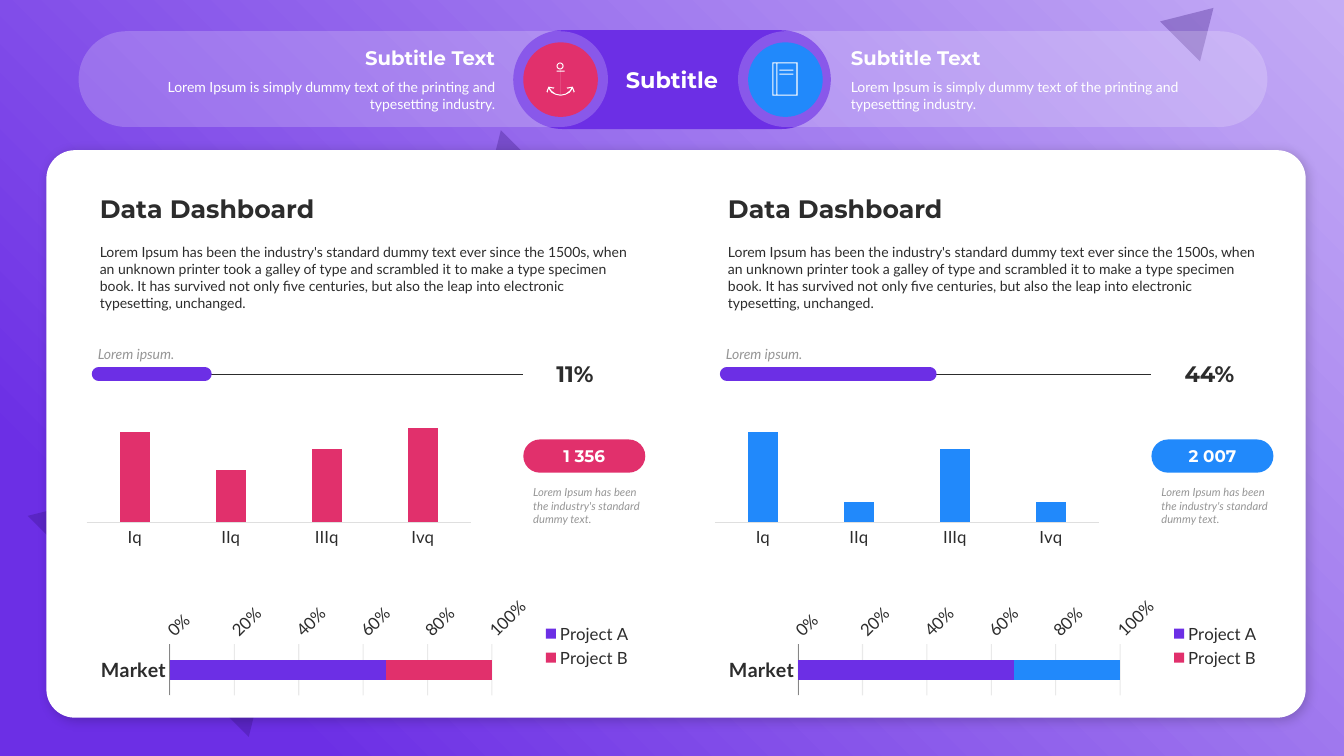
from lxml import etree
from pptx import Presentation
from pptx.chart.data import CategoryChartData
from pptx.dml.color import RGBColor
from pptx.enum.chart import XL_CHART_TYPE, XL_LEGEND_POSITION, XL_TICK_MARK
from pptx.enum.shapes import MSO_CONNECTOR, MSO_SHAPE
from pptx.enum.text import MSO_ANCHOR, MSO_AUTO_SIZE, PP_ALIGN
from pptx.oxml.ns import qn
from pptx.util import Inches, Pt

PURPLE, LILAC = RGBColor(0x6C, 0x2F, 0xE5), RGBColor(0xC4, 0xAC, 0xF5)
INDIGO, PINK = RGBColor(0x33, 0x0F, 0x7B), RGBColor(0xE1, 0x30, 0x6C)
BLUE, WHITE = RGBColor(0x21, 0x89, 0xFB), RGBColor(0xFF, 0xFF, 0xFF)
INK, GREY = RGBColor(0x2C, 0x2C, 0x2C), RGBColor(0x96, 0x96, 0x96)
AXIS_GREY, AXIS_DARK = RGBColor(0xDF, 0xDF, 0xDF), RGBColor(0x86, 0x86, 0x86)
HEAD_FONT, BODY_FONT = "Montserrat", "Lato"
RECT, PILL, OVAL = MSO_SHAPE.RECTANGLE, MSO_SHAPE.ROUNDED_RECTANGLE, MSO_SHAPE.OVAL
TRIANGLE, DONUT = MSO_SHAPE.ISOSCELES_TRIANGLE, MSO_SHAPE.DONUT
LEFT, CENTER, RIGHT = PP_ALIGN.LEFT, PP_ALIGN.CENTER, PP_ALIGN.RIGHT
MIDDLE, TOP, BOTTOM = MSO_ANCHOR.MIDDLE, MSO_ANCHOR.TOP, MSO_ANCHOR.BOTTOM
NO_TICK = XL_TICK_MARK.NONE

# Content
TITLE = "Subtitle"
BANNER_HEAD = "Subtitle Text"
BANNER_TEXT = "Lorem Ipsum is simply dummy text of the printing and typesetting industry."
PANEL_HEAD = "Data Dashboard"
PANEL_TEXT = ("Lorem Ipsum has been the industry's standard dummy text ever since the 1500s, "
              "when an unknown printer took a galley of type and scrambled it to make a type "
              "specimen book. It has survived not only five centuries, but also the leap into "
              "electronic typesetting, unchanged.")
PROGRESS_LABEL = "Lorem ipsum."
NOTE = "Lorem Ipsum has been the industry's standard dummy text."
QUARTERS = ["Iq", "IIq", "IIIq", "Ivq"]
MARKET = [("Project A", 67, PURPLE), ("Project B", 33, PINK)]
PANELS = [
    dict(accent=PINK, percent="11%", progress=1.05, total="1 356",
         values=[96, 56, 78, 100], axis_max=111),
    dict(accent=BLUE, percent="44%", progress=2.01, total="2 007",
         values=[100, 23, 81, 23], axis_max=116),
]
PANEL_STEP = 6.23
# box, rotation
TRIANGLES = [((0.73, 4.02, 3.1, 2.57), 45), ((4.57, 1.5, 0.9, 0.75), 225),
             ((11.59, 0.01, 0.56, 0.47), 45)]
# left, alignment, left inset, right inset
BANNERS = [(7.32, LEFT, 0.98, 0.2), (0.78, RIGHT, 0.2, 0.98)]
TITLE_BOX = (5.09, 0.3, 3.15, 0.98)
# Icon outlines in hundredths of an inch
ANCHOR_X = 556
ANCHOR_HALF = [(0.5, 69), (0.5, 70), (4, 70), (4, 71), (0.5, 71), (0.5, 94), (5, 93),
               (9, 90.5), (11, 87), (7, 88), (6, 87), (11.5, 86), (12.5, 86), (14, 91),
               (13, 92), (11.5, 88), (9, 92), (5, 94.5), (0, 95)]
BOOK_FRAMES = [(766, 62, 791, 95), (767, 63, 770, 94), (771, 63, 790, 94)]

presentation = Presentation()
presentation.slide_width, presentation.slide_height = Inches(13.33), Inches(7.5)
slide = presentation.slides.add_slide(presentation.slide_layouts[4])
shapes = slide.shapes


def inches(box):
    return [Inches(value) for value in box]


def set_alpha(element, percent):
    color = element.find(".//" + qn("a:srgbClr"))
    etree.SubElement(color, qn("a:alpha"), val=str(percent * 1000))


def add_filled(kind, box, color, alpha=None, corner=None):
    shape = shapes.add_shape(kind, *inches(box))
    shape.shadow.inherit = False
    shape.fill.solid()
    shape.fill.fore_color.rgb = color
    shape.line.fill.background()
    if alpha:
        set_alpha(shape.element, alpha)
    if corner is not None:
        shape.adjustments[0] = corner
    return shape


def write(shape, lines, color, align=LEFT, anchor=TOP, insets=(0.1, 0.05, 0.1, 0.05),
          after=0, grow=False):
    """Each line is (text, size, font, bold, italic)."""
    frame = shape.text_frame
    frame.word_wrap = True
    frame.auto_size = MSO_AUTO_SIZE.SHAPE_TO_FIT_TEXT if grow else MSO_AUTO_SIZE.NONE
    frame.vertical_anchor = anchor
    (frame.margin_left, frame.margin_top,
     frame.margin_right, frame.margin_bottom) = inches(insets)
    for index, (text, size, font, bold, italic) in enumerate(lines):
        paragraph = frame.add_paragraph() if index else frame.paragraphs[0]
        paragraph.alignment = align
        paragraph.space_before, paragraph.space_after = Pt(0), Pt(after)
        run = paragraph.add_run()
        run.text = text
        run.font.size, run.font.name = Pt(size), font
        run.font.bold, run.font.italic = bold, italic
        run.font.color.rgb = color


def add_text(box, line, color, **options):
    write(shapes.add_textbox(*inches(box)), [line], color, grow=True, **options)


def fill_placeholder(index, box, line, color, **options):
    placeholder = slide.placeholders[index]
    placeholder.left, placeholder.top, placeholder.width, placeholder.height = inches(box)
    write(placeholder, [line], color, **options)
    properties = placeholder.text_frame.paragraphs[0].runs[0]._r.getparent().pPr
    properties.set("marL", "0")
    properties.set("indent", "0")
    etree.SubElement(properties, qn("a:buNone"))
    shapes.element.append(placeholder.element) if hasattr(shapes, "element") else \
        placeholder.element.getparent().append(placeholder.element)


def add_outline(contours):
    builder = shapes.build_freeform(*contours[0][0], scale=Inches(0.01))
    for index, points in enumerate(contours):
        if index:
            builder.move_to(*points[0])
        builder.add_line_segments(points[1:], close=True)
    shape = builder.convert_to_shape()
    shape.shadow.inherit = False
    shape.fill.solid()
    shape.fill.fore_color.rgb = WHITE
    shape.line.fill.background()


def add_line(left, top, length, color, width):
    line = shapes.add_connector(MSO_CONNECTOR.STRAIGHT,
                                *inches((left, top, left + length, top)))
    line.line.color.rgb, line.line.width = color, Pt(width)
    etree.SubElement(line.element.spPr, qn("a:effectLst"))
    return line


def add_chart(kind, box, categories, series):
    data = CategoryChartData()
    data.categories = categories
    for name, values, color in series:
        data.add_series(name, values)
    chart = shapes.add_chart(kind, *inches(box), data).chart
    chart.has_title = chart.has_legend = False
    chart.font.size, chart.font.name, chart.font.color.rgb = Pt(12), BODY_FONT, INK
    chart.plots[0].vary_by_categories = False
    for item, (name, values, color) in zip(chart.plots[0].series, series):
        item.format.fill.solid()
        item.format.fill.fore_color.rgb = color
    chart.category_axis.major_tick_mark = chart.value_axis.major_tick_mark = NO_TICK
    chart.category_axis.format.line.width = Pt(0.75)
    return chart


def add_quarter_chart(left, panel):
    chart = add_chart(XL_CHART_TYPE.COLUMN_CLUSTERED, (left, 3.98, 4.01, 1.65), QUARTERS,
                      [("Series 1", panel["values"], panel["accent"])])
    chart.plots[0].gap_width, chart.plots[0].overlap = 219, -27
    chart.category_axis.format.line.color.rgb = AXIS_GREY
    axis = chart.value_axis
    axis.visible = axis.has_major_gridlines = False
    axis.minimum_scale, axis.maximum_scale = 0, panel["axis_max"]
    plot_area = chart.element.find(".//" + qn("c:plotArea"))
    for old_layout in plot_area.findall(qn("c:layout")):
        plot_area.remove(old_layout)
    layout = etree.Element(qn("c:layout"))
    manual = etree.SubElement(layout, qn("c:manualLayout"))
    for tag, value in [("layoutTarget", "inner"), ("xMode", "edge"), ("yMode", "edge"),
                       ("x", "0.02"), ("y", "0.1"), ("w", "0.95"), ("h", "0.63")]:
        etree.SubElement(manual, qn("c:" + tag), val=value)
    plot_area.insert(0, layout)


def add_market_chart(left, accent):
    chart = add_chart(XL_CHART_TYPE.BAR_STACKED_100, (left, 5.89, 5.48, 1.03), ["Market"],
                      [(name, [value], color) for name, value, color in MARKET])
    plot, axis = chart.plots[0], chart.value_axis
    plot.gap_width, plot.overlap = 155, 100
    point_fill = plot.series[1].points[0].format.fill
    point_fill.solid()
    point_fill.fore_color.rgb = accent
    chart.has_legend = True
    chart.legend.position, chart.legend.include_in_layout = XL_LEGEND_POSITION.RIGHT, False
    chart.category_axis.reverse_order = True
    chart.category_axis.format.line.color.rgb = AXIS_DARK
    label_font = chart.category_axis.tick_labels.font
    label_font.size, label_font.bold = Pt(14), True
    axis.format.line.fill.background()
    axis.tick_labels.number_format, axis.tick_labels.number_format_is_linked = "0%", False
    axis.tick_labels.font.size = Pt(12)
    chart.element.find(".//" + qn("c:valAx") + "//" + qn("a:bodyPr")).set("rot", "-2700000")
    grid = axis.major_gridlines.format.line
    grid.color.rgb, grid.width = INK, Pt(0.75)
    set_alpha(chart.element.find(".//" + qn("c:majorGridlines")), 10)


# Background
fill = slide.background.fill
fill.gradient()
for stop, color, position in zip(fill.gradient_stops, (LILAC, PURPLE), (0, 0.85)):
    stop.color.rgb, stop.position = color, position
gradient = slide.element.find(".//" + qn("a:gradFill"))
gradient.remove(gradient.find(qn("a:lin")))
radial = etree.SubElement(gradient, qn("a:path"), path="circle")
etree.SubElement(radial, qn("a:fillToRect"), l="100000", b="100000")
for box, rotation in TRIANGLES:
    add_filled(TRIANGLE, box, INDIGO, alpha=30).rotation = rotation

# Header
add_filled(PILL, TITLE_BOX, PURPLE, corner=0.5)
fill_placeholder(0, TITLE_BOX, (TITLE, 16, HEAD_FONT, True, False), WHITE, align=CENTER,
                 anchor=MIDDLE, insets=(0.87, 0.05, 0.87, 0.05))
for left, align, inset_left, inset_right in BANNERS:
    banner = add_filled(PILL, (left, 0.31, 5.25, 0.95), WHITE, alpha=20, corner=0.5)
    write(banner, [(BANNER_HEAD, 14, HEAD_FONT, True, False),
                   (BANNER_TEXT, 10, BODY_FONT, False, False)], WHITE, align=align,
          anchor=MIDDLE, insets=(inset_left, 0.05, inset_right, 0.05), after=6)
for left, color in [(5.19, PINK), (7.42, BLUE)]:
    add_filled(OVAL, (left, 0.42, 0.74, 0.74), color)

# Anchor and book icons
add_outline([[(ANCHOR_X + x, y) for x, y in ANCHOR_HALF]
             + [(ANCHOR_X - x, y) for x, y in ANCHOR_HALF[-2::-1]]])
add_filled(DONUT, (5.52, 0.62, 0.07, 0.07), WHITE, corner=0.14)
add_outline([[(x1, y1), (x2, y1), (x2, y2), (x1, y2)] for x1, y1, x2, y2 in BOOK_FRAMES])
for top in (0.69, 0.73):
    add_filled(RECT, (7.73, top, 0.14, 0.01), WHITE)

# Card
card = add_filled(PILL, (0.46, 1.49, 12.49, 5.63), WHITE, corner=0.05)
shadow = etree.SubElement(card.element.spPr.find(qn("a:effectLst")), qn("a:outerShdw"),
                          blurRad=str(Pt(8)), dist=str(Pt(3)), dir="2700000", rotWithShape="0")
etree.SubElement(shadow, qn("a:srgbClr"), val="000000")
set_alpha(shadow, 20)

# Dashboard panels
for number, panel in enumerate(PANELS):
    shift = number * PANEL_STEP
    left, right, accent = 0.89 + shift, 5.19 + shift, panel["accent"]
    total = add_filled(PILL, (right, 4.36, 1.21, 0.33), accent, corner=0.5)
    write(total, [(panel["total"], 12, HEAD_FONT, True, False)], WHITE, align=CENTER,
          anchor=MIDDLE, insets=(0, 0, 0, 0))
    add_text((right, 4.77, 1.38, 0.5), (NOTE, 8, BODY_FONT, False, True), GREY)
    add_quarter_chart(0.78 + shift, panel)
    add_market_chart(left, accent)
    fill_placeholder(1 + 2 * number, (left, 1.87, 5.48, 0.4),
                     (PANEL_HEAD, 18, HEAD_FONT, True, False), INK, anchor=BOTTOM)
    fill_placeholder(2 + 2 * number, (left, 2.37, 5.48, 0.77),
                     (PANEL_TEXT, 10, BODY_FONT, False, False), INK, after=6)
    add_line(0.93 + shift, 3.71, 4.26, INK, 0.5)
    bar = add_line(0.98 + shift, 3.71, panel["progress"], PURPLE, 10)
    bar.element.spPr.find(qn("a:ln")).set("cap", "rnd")
    add_text((5.42 + shift, 3.52, 0.95, 0.37), (panel["percent"], 16, HEAD_FONT, True, False),
             INK, anchor=MIDDLE)
    add_text((left, 3.37, 1.92, 0.27), (PROGRESS_LABEL, 10, BODY_FONT, False, True), GREY,
             anchor=BOTTOM, insets=(0.08, 0.05, 0.1, 0.05))

presentation.save("out.pptx")
